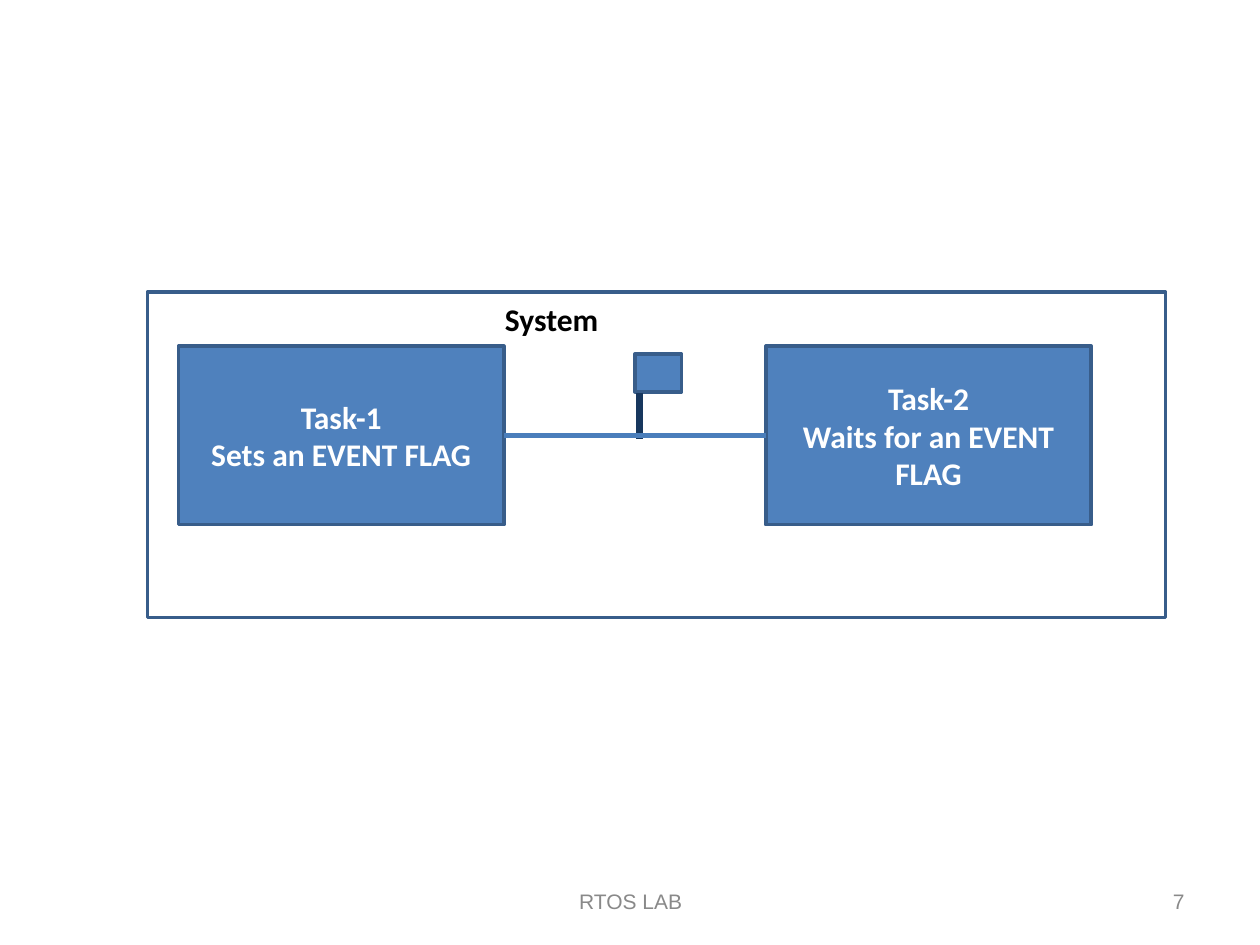
from dataclasses import dataclass

from lxml.etree import SubElement
from pptx import Presentation
from pptx.dml.color import RGBColor as Color
from pptx.enum.shapes import MSO_CONNECTOR as Connector, MSO_SHAPE as Shape
from pptx.enum.text import MSO_ANCHOR as Anchor, PP_ALIGN as Align
from pptx.oxml.ns import qn
from pptx.util import Cm, Pt

TASKS = [
    ("Task-1", "Sets an EVENT FLAG"),
    ("Task-2", "Waits for an EVENT FLAG"),
]
TASK_LEFT, TASK_TOP, TASK_WIDTH, TASK_HEIGHT, TASK_GAP = 3.6, 6.98, 6.56, 3.6, 5.28
SYSTEM_FRAME = (2.97, 5.89, 20.53, 6.56)
SYSTEM_LABEL = ("System", (9.93, 5.92, 2.64, 1.02))
FLAG = (12.8, 7.14, 0.94, 0.76)
POLE = (12.9, 7.92, 12.9, 8.84)
FOOTERS = [
    ("RTOS LAB", (8.69, 17.65, 8.05, 1.02), Align.CENTER),
    ("7", (18.21, 17.65, 5.92, 1.02), Align.RIGHT),
]


@dataclass(frozen=True)
class Theme:
    fill: Color = Color.from_string("4F81BD")
    outline: Color = Color.from_string("385D8A")
    link: Color = Color.from_string("4A7EBB")
    pole: Color = Color.from_string("17375E")
    light: Color = Color.from_string("FFFFFF")
    dark: Color = Color.from_string("000000")
    muted: Color = Color.from_string("898989")
    body_font: str = "Calibri"
    footer_font: str = "Arial"
    body_size: int = 18
    footer_size: int = 12


THEME = Theme()


def lengths(values):
    return [Cm(value) for value in values]


def write(shape, lines, color, align, anchor, font=THEME.body_font,
          size=THEME.body_size, bold=True):
    frame = shape.text_frame
    frame.word_wrap = True
    frame.vertical_anchor = anchor
    frame.text = "\n".join(lines)
    for paragraph in frame.paragraphs:
        paragraph.alignment = align
        for run in paragraph.runs:
            run.font.name = font
            run.font.size = Pt(size)
            run.font.bold = bold
            run.font.color.rgb = color


def add_box(shapes, place, filled=True):
    box = shapes.add_shape(Shape.RECTANGLE, *lengths(place))
    box.shadow.inherit = False
    if filled:
        box.fill.solid()
        box.fill.fore_color.rgb = THEME.fill
    else:
        box.fill.background()
    box.line.color.rgb = THEME.outline
    box.line.width = Pt(2)
    return box


def add_line(shapes, ends, color, width):
    line = shapes.add_connector(Connector.STRAIGHT, *lengths(ends))
    line.line.color.rgb = color
    line.line.width = Pt(width)
    SubElement(line._element.spPr, qn("a:effectLst"))
    return line


def main():
    presentation = Presentation()
    presentation.slide_width, presentation.slide_height = Cm(25.4), Cm(19.05)
    slide = presentation.slides.add_slide(presentation.slide_layouts[6])
    shapes = slide.shapes

    for text, place, align in FOOTERS:
        footer = shapes.add_textbox(*lengths(place))
        write(footer, [text], THEME.muted, align, Anchor.MIDDLE,
              THEME.footer_font, THEME.footer_size, False)

    task_boxes = []
    for index, lines in enumerate(TASKS):
        left = TASK_LEFT + index * (TASK_WIDTH + TASK_GAP)
        box = add_box(shapes, (left, TASK_TOP, TASK_WIDTH, TASK_HEIGHT))
        write(box, lines, THEME.light, Align.CENTER, Anchor.MIDDLE)
        task_boxes.append(box)

    add_box(shapes, SYSTEM_FRAME, filled=False)
    text, place = SYSTEM_LABEL
    label = shapes.add_textbox(*lengths(place))
    write(label, [text], THEME.dark, Align.LEFT, Anchor.TOP)

    event_flag = shapes.add_group_shape()
    add_box(event_flag.shapes, FLAG)
    add_line(event_flag.shapes, POLE, THEME.pole, 4)

    link_left = TASK_LEFT + TASK_WIDTH
    link_y = TASK_TOP + TASK_HEIGHT / 2
    link = add_line(shapes, (link_left, link_y, link_left + TASK_GAP, link_y), THEME.link, 3)
    link.begin_connect(task_boxes[0], 3)
    link.end_connect(task_boxes[1], 1)

    presentation.save("out.pptx")


if __name__ == "__main__":
    main()
